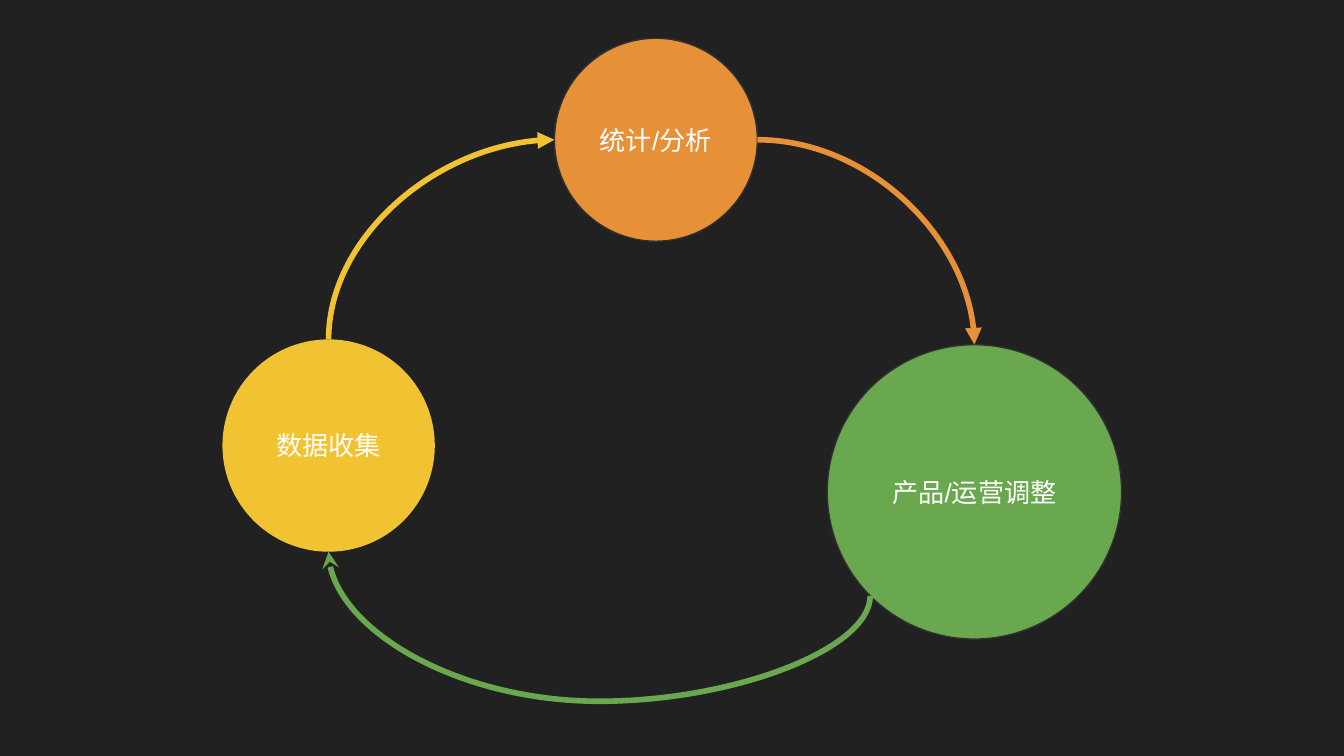
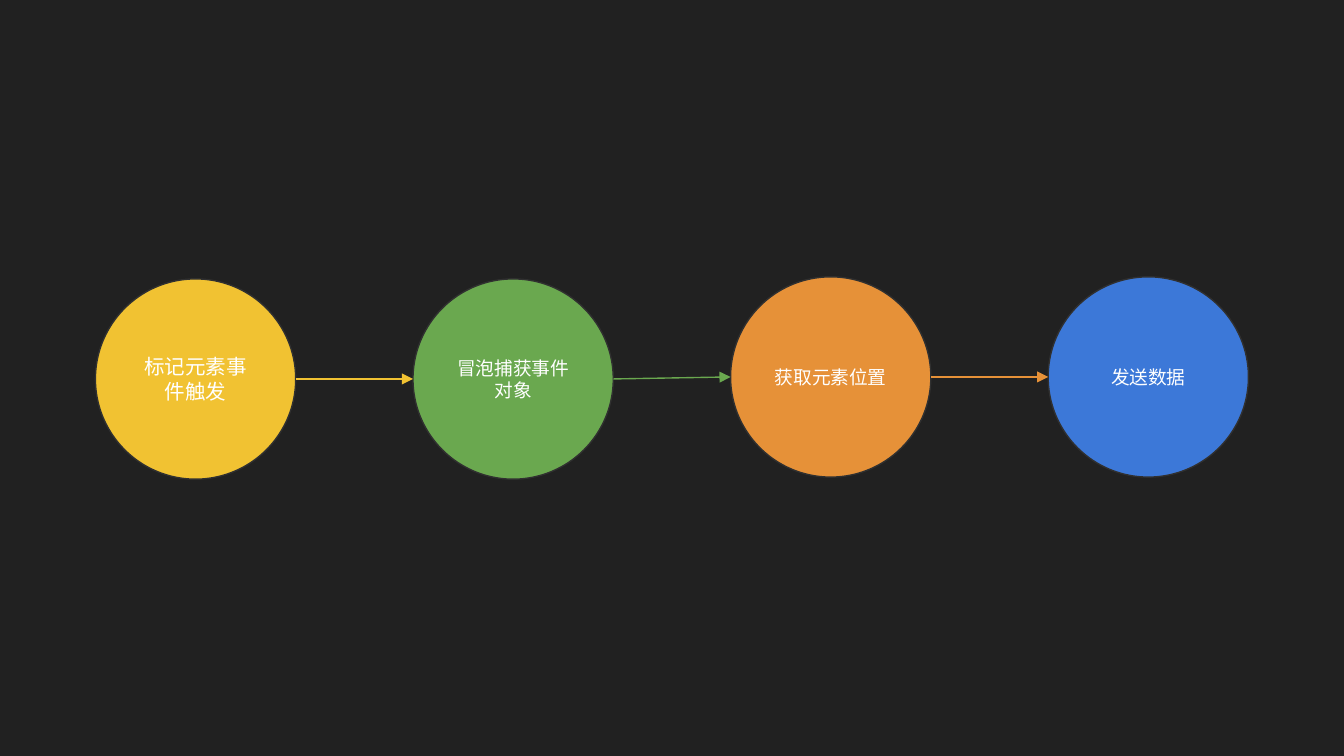
"""Builds two dark slides of circles joined by arrows: a data cycle and a tracking chain."""
from dataclasses import dataclass
from math import cos, radians, sin
from typing import Optional

from lxml import etree
from pptx import Presentation
from pptx.dml.color import RGBColor
from pptx.enum.shapes import MSO_CONNECTOR, MSO_SHAPE
from pptx.enum.text import MSO_ANCHOR, PP_ALIGN
from pptx.oxml.ns import qn
from pptx.util import Inches, Pt

OVAL = MSO_SHAPE.OVAL
STRAIGHT, CURVE = MSO_CONNECTOR.STRAIGHT, MSO_CONNECTOR.CURVE
MIDDLE, CENTER = MSO_ANCHOR.MIDDLE, PP_ALIGN.CENTER

BACKGROUND = RGBColor(0x21, 0x21, 0x21)
OUTLINE = RGBColor(0x30, 0x30, 0x30)
WHITE = RGBColor(0xFF, 0xFF, 0xFF)
YELLOW = RGBColor(0xF1, 0xC2, 0x32)
ORANGE = RGBColor(0xE6, 0x91, 0x38)
GREEN = RGBColor(0x6A, 0xA8, 0x4F)
BLUE = RGBColor(0x3C, 0x78, 0xD8)

FONT = "Arial"
WIDTH, HEIGHT = Inches(10), Inches(5.625)
COLUMN = WIDTH / 100
ROW = HEIGHT / 56.25
INSET = int(COLUMN)
THIN = 0.75
TOP, LEFT, LOWER_LEFT, BOTTOM, RIGHT = 0, 2, 3, 4, 6


@dataclass(frozen=True)
class Circle:
    """A labelled circle, its centre and diameter in grid columns and rows."""
    label: str
    color: RGBColor
    column: float
    row: float
    diameter: float
    size: float
    outlined: bool = True

    def site(self, index: int) -> tuple[float, float]:
        """Return the grid point of one of the eight connection sites."""
        angle = radians(90 + 45 * index)
        radius = self.diameter / 2
        return self.column + radius * cos(angle), self.row - radius * sin(angle)


@dataclass(frozen=True)
class Arrow:
    """An arrow between two circles of a slide, given by their positions in its list."""
    source: int
    source_site: int
    target: int
    target_site: int
    width: float = THIN
    head: str = "triangle"
    preset: Optional[str] = None
    turn: int = 0
    bend: Optional[int] = None


CYCLE = [
    Circle("数据收集", YELLOW, 24.45, 33.15, 15.8, 14, outlined=False),
    Circle("统计/分析", ORANGE, 48.8, 10.4, 15.1, 14),
    Circle("产品/运营调整", GREEN, 72.5, 36.6, 21.9, 14),
]
CYCLE_ARROWS = [
    Arrow(0, TOP, 1, LEFT, 3, preset="curvedConnector2", turn=270),
    Arrow(1, RIGHT, 2, TOP, 3, preset="curvedConnector2"),
    Arrow(2, LOWER_LEFT, 0, BOTTOM, 3, "stealth", "curvedConnector3", 90, -238100),
]

STEPS = [
    ("标记元素事件触发", YELLOW, 28.2, 11),
    ("冒泡捕获事件对象", GREEN, 28.2, 10),
    ("获取元素位置", ORANGE, 28.05, 10),
    ("发送数据", BLUE, 28.05, 10),
]
CHAIN = [Circle(label, color, 14.55 + 23.63 * place, row, 14.9, size)
         for place, (label, color, row, size) in enumerate(STEPS)]
CHAIN_ARROWS = [Arrow(place, RIGHT, place + 1, LEFT) for place in range(len(CHAIN) - 1)]


def draw_circle(page, circle: Circle):
    """Draw a circle with its centred label and return the shape."""
    radius = circle.diameter / 2
    shape = page.shapes.add_shape(
        OVAL, int((circle.column - radius) * COLUMN), int((circle.row - radius) * ROW),
        int(circle.diameter * COLUMN), int(circle.diameter * ROW))
    shape.shadow.inherit = False
    shape.fill.solid()
    shape.fill.fore_color.rgb = circle.color
    if circle.outlined:
        shape.line.color.rgb = OUTLINE
        shape.line.width = Pt(THIN)
    else:
        shape.line.fill.background()
    frame = shape.text_frame
    frame.word_wrap = True
    frame.vertical_anchor = MIDDLE
    frame.margin_left = frame.margin_right = INSET
    frame.margin_top = frame.margin_bottom = INSET
    para = frame.paragraphs[0]
    para.alignment = CENTER
    span = para.add_run()
    span.text = circle.label
    span.font.name = FONT
    span.font.size = Pt(circle.size)
    span.font.color.rgb = WHITE
    return shape


def unturn(point: tuple[float, float], center: tuple[float, float],
           turn: int) -> tuple[float, float]:
    """Turn a point back around a centre by the given degrees."""
    across, down = point[0] - center[0], point[1] - center[1]
    cosine, sine = cos(radians(turn)), sin(radians(turn))
    return (center[0] + across * cosine + down * sine,
            center[1] - across * sine + down * cosine)


def bend_connector(connector, arrow: Arrow) -> None:
    """Give a connector the curve, rotation and bend of its arrow."""
    properties = connector.element.spPr
    if arrow.turn:
        properties.find(qn("a:xfrm")).set("rot", str(arrow.turn * 60000))
    geometry = properties.find(qn("a:prstGeom"))
    geometry.set("prst", arrow.preset)
    if arrow.bend is not None:
        guides = geometry.find(qn("a:avLst"))
        etree.SubElement(guides, qn("a:gd"), name="adj1", fmla=f"val {arrow.bend}")


def draw_arrow(page, arrow: Arrow, circles: list[Circle], shapes: list) -> None:
    """Draw an arrow in the colour of its source and join it to both circles."""
    begin = circles[arrow.source].site(arrow.source_site)
    end = circles[arrow.target].site(arrow.target_site)
    center = ((begin[0] + end[0]) / 2, (begin[1] + end[1]) / 2)
    first, last = (unturn(point, center, arrow.turn) for point in (begin, end))
    connector = page.shapes.add_connector(
        CURVE if arrow.preset else STRAIGHT,
        int(first[0] * COLUMN), int(first[1] * ROW),
        int(last[0] * COLUMN), int(last[1] * ROW))
    if arrow.preset:
        bend_connector(connector, arrow)
    connector.line.color.rgb = circles[arrow.source].color
    connector.line.width = Pt(arrow.width)
    properties = connector.element.spPr
    etree.SubElement(properties.find(qn("a:ln")), qn("a:tailEnd"), type=arrow.head)
    etree.SubElement(properties, qn("a:effectLst"))
    joints = next(connector.element.iter(qn("p:cNvCxnSpPr")))
    for tag, place, site in (("a:stCxn", arrow.source, arrow.source_site),
                             ("a:endCxn", arrow.target, arrow.target_site)):
        etree.SubElement(joints, qn(tag), id=str(shapes[place].shape_id), idx=str(site))


def add_diagram(deck, circles: list[Circle], arrows: list[Arrow]) -> None:
    """Add a slide holding circles and the arrows between them."""
    page = deck.slides.add_slide(deck.slide_layouts.get_by_name("Blank"))
    shapes = [draw_circle(page, circle) for circle in circles]
    for arrow in arrows:
        draw_arrow(page, arrow, circles, shapes)


def main() -> None:
    """Build and save the deck."""
    deck = Presentation()
    deck.slide_width, deck.slide_height = WIDTH, HEIGHT
    backdrop = deck.slide_master.background.fill
    backdrop.solid()
    backdrop.fore_color.rgb = BACKGROUND
    add_diagram(deck, CYCLE, CYCLE_ARROWS)
    add_diagram(deck, CHAIN, CHAIN_ARROWS)
    deck.save("out.pptx")


if __name__ == "__main__":
    main()
